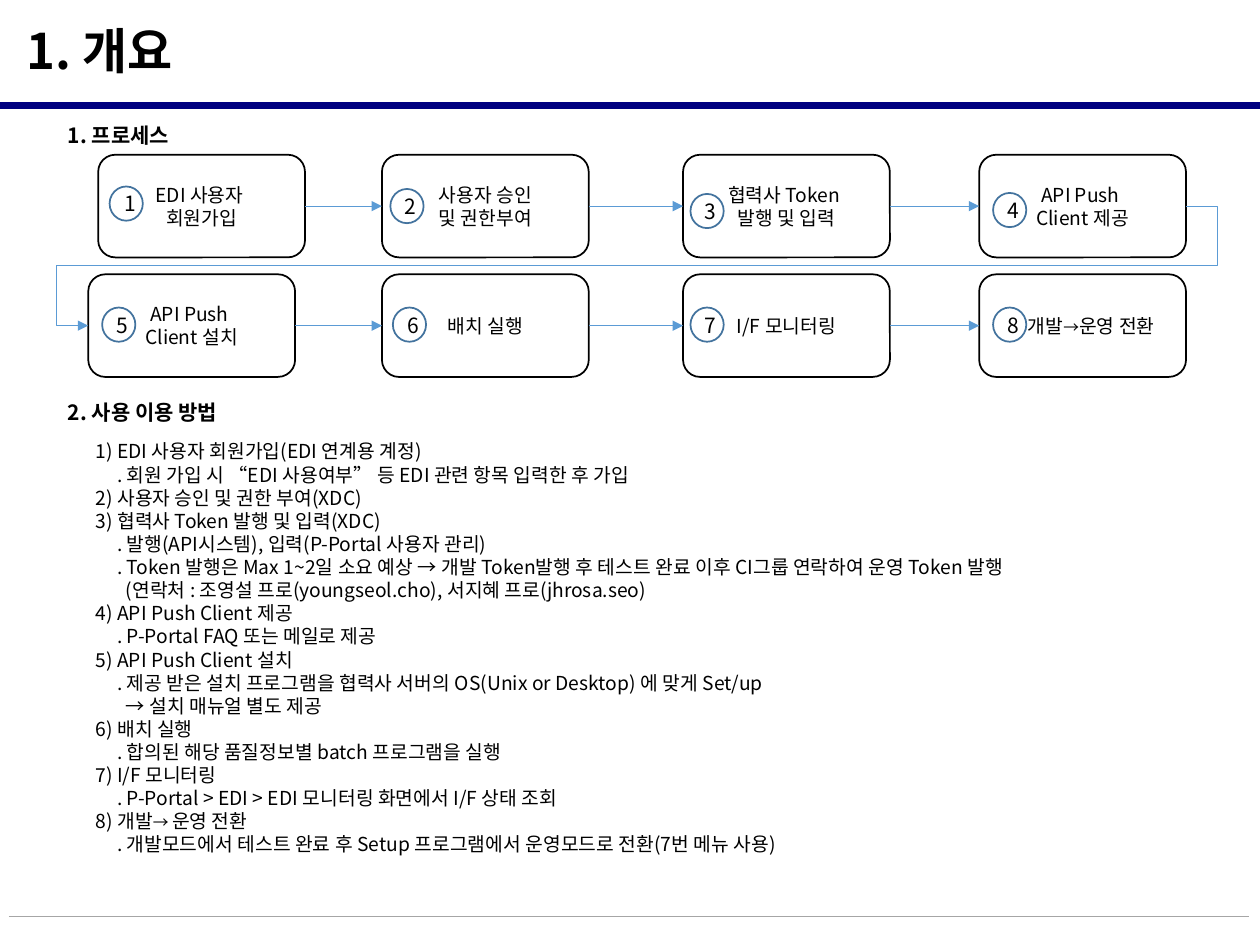
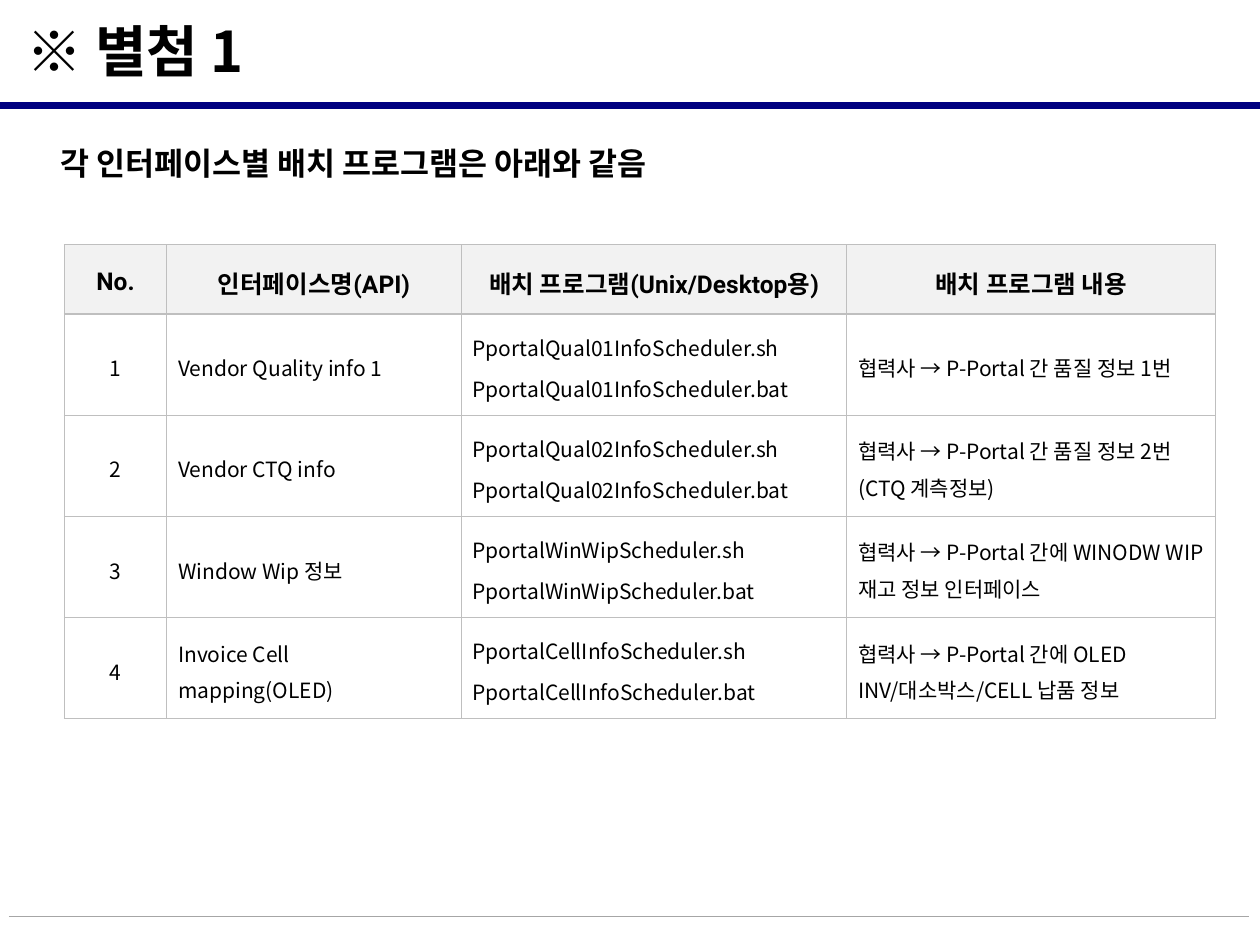
from lxml import etree
from pptx import Presentation
from pptx.dml.color import RGBColor as Rgb
from pptx.enum.shapes import MSO_CONNECTOR as Connector, MSO_SHAPE as Shape
from pptx.enum.text import MSO_ANCHOR as Anchor, MSO_AUTO_SIZE as AutoSize, PP_ALIGN as Align
from pptx.oxml.ns import qn
from pptx.util import Cm, Pt


class Theme:
    font = "Noto Sans CJK KR"
    header_font = "Roboto"
    black = Rgb.from_string("000000")
    white = Rgb.from_string("FFFFFF")
    navy = Rgb.from_string("000080")
    footer_gray = Rgb.from_string("A6A6A6")
    arrow_blue = Rgb.from_string("5B9BD5")
    badge_blue = Rgb.from_string("43739E")
    header_fill = Rgb.from_string("F2F2F2")
    border = "BFBFBF"
    lead = 18
    table_header = 14
    heading = 12
    cell = 12
    body = 11
    small_arrow = 9


def write(frame, paragraphs, size, bold=False, align=Align.LEFT, font=Theme.font,
          spacing=None, before=None):
    """Fill a text frame; a paragraph is a string or a list of (text, size) runs."""
    frame.word_wrap = True
    for index, runs in enumerate(paragraphs):
        paragraph = frame.add_paragraph() if index else frame.paragraphs[0]
        paragraph.alignment = align
        paragraph.line_spacing = spacing
        paragraph.space_before = before
        for text, run_size in [(runs, size)] if isinstance(runs, str) else runs:
            run = paragraph.add_run()
            run.text = text
            run.font.size = Pt(run_size)
            run.font.bold = bold
            run.font.color.rgb = Theme.black
            run.font.name = font
            east_asian = etree.SubElement(run.font._element, qn("a:ea"))
            east_asian.set("typeface", Theme.font)


def add_line(slide, kind, start, end, color, width, arrow=False):
    line = slide.shapes.add_connector(kind, *start, *end)
    line.line.color.rgb = color
    line.line.width = Pt(width)
    if arrow:
        etree.SubElement(line.line._get_or_add_ln(), qn("a:tailEnd")).set("type", "triangle")
    etree.SubElement(line.element.spPr, qn("a:effectLst"))
    return line


presentation = Presentation()
presentation.slide_width = Cm(25.4)
presentation.slide_height = Cm(19.05)
title_layout = presentation.slide_layouts[5]

# Titles, and the two rules that every slide takes from the layout
slides = []
for title_text, title_size in [("1. 개요", 28), ("※ 별첨 1", 32)]:
    slide = presentation.slides.add_slide(title_layout)
    slides.append(slide)
    title = slide.shapes.title
    title.left, title.top, title.width, title.height = Cm(0.38), Cm(0.1), Cm(24.71), Cm(1.83)
    frame = title.text_frame
    frame.margin_left = frame.margin_right = frame.margin_top = frame.margin_bottom = Cm(0.15)
    frame.vertical_anchor = Anchor.MIDDLE
    frame.auto_size = AutoSize.NONE
    write(frame, [title_text], title_size, bold=True)
overview, appendix = slides

for left, right, y, color, width in [
    (0.18, 25.17, 18.47, Theme.footer_gray, 0.75),
    (0, 25.4, 2.13, Theme.navy, 4),
]:
    rule = add_line(overview, Connector.STRAIGHT, (Cm(left), Cm(y)), (Cm(right), Cm(y)),
                    color, width)
    title_layout.shapes.element.append(rule.element)

# Headings of both slides
for slide, text, left, top, width, height, size, spacing in [
    (overview, "1. 프로세스", 1.12, 2.34, 7.16, 0.76, Theme.heading, None),
    (overview, "2. 사용 이용 방법", 1.12, 7.92, 9.58, 0.76, Theme.heading, None),
    (appendix, "각 인터페이스별 배치 프로그램은 아래와 같음", 0.97, 2.39, 21.41, 1.27, Theme.lead, 1.5),
]:
    heading = slide.shapes.add_textbox(Cm(left), Cm(top), Cm(width), Cm(height))
    write(heading.text_frame, [text], size, bold=True, spacing=spacing)

# Process steps: box left and top, badge left and top, label
steps = [
    (1.98, 3.12, 2.21, 3.76, ["EDI 사용자 ", "회원가입"]),
    (7.7, 3.12, 7.87, 3.81, ["사용자 승인", "및 권한부여"]),
    (13.77, 3.12, 13.92, 3.91, ["협력사 Token ", "발행 및 입력"]),
    (19.74, 3.12, 20.02, 3.89, ["API Push ", "Client 제공"]),
    (1.78, 5.53, 2.06, 6.2, ["API Push ", "Client 설치"]),
    (7.7, 5.53, 7.92, 6.2, ["배치 실행"]),
    (13.77, 5.53, 13.92, 6.2, ["I/F 모니터링"]),
    (19.74, 5.53, 20.02, 6.2,
     [[("개발", Theme.body), ("→", Theme.small_arrow), ("운영 전환", Theme.body)]]),
]
boxes = []
for number, (left, top, badge_left, badge_top, label) in enumerate(steps, start=1):
    box = overview.shapes.add_shape(Shape.ROUNDED_RECTANGLE, Cm(left), Cm(top), Cm(4.17), Cm(2.07))
    box.shadow.inherit = False
    box.fill.solid()
    box.fill.fore_color.rgb = Theme.white
    box.line.color.rgb = Theme.black
    box.line.width = Pt(1)
    frame = box.text_frame
    frame.margin_left = frame.margin_right = Cm(0.4)
    frame.margin_top = frame.margin_bottom = Cm(0.2)
    frame.vertical_anchor = Anchor.MIDDLE
    write(frame, label, Theme.body, align=Align.CENTER)
    boxes.append(box)

    badge = overview.shapes.add_shape(Shape.OVAL, Cm(badge_left), Cm(badge_top), Cm(0.67), Cm(0.69))
    badge.shadow.inherit = False
    badge.fill.background()
    badge.line.color.rgb = Theme.badge_blue
    badge.line.width = Pt(1)
    badge.text_frame.margin_left = badge.text_frame.margin_right = Cm(0.28)
    badge.text_frame.vertical_anchor = Anchor.MIDDLE
    write(badge.text_frame, [str(number)], Theme.heading, align=Align.CENTER)

# The last label makes room for its badge
boxes[-1].text_frame.paragraphs[0]._p.get_or_add_pPr().set("marL", str(Cm(0.35)))

for box, next_box in zip(boxes, boxes[1:]):
    wraps = next_box.top > box.top
    arrow = add_line(overview, Connector.ELBOW if wraps else Connector.STRAIGHT,
                     (box.left + box.width, box.top + box.height // 2),
                     (next_box.left, next_box.top + next_box.height // 2),
                     Theme.arrow_blue, 0.5, arrow=True)
    arrow.begin_connect(box, 3)
    arrow.end_connect(next_box, 1)
    if wraps:
        geometry = arrow.element.spPr.find(qn("a:prstGeom"))
        geometry.set("prst", "bentConnector5")
        guides = geometry.find(qn("a:avLst"))
        for index, value in enumerate([-2900, 50000, 102900], start=1):
            guide = etree.SubElement(guides, qn("a:gd"))
            guide.set("name", f"adj{index}")
            guide.set("fmla", f"val {value}")

# Instructions: indent level and text
instructions = [
    (0, "1) EDI 사용자 회원가입(EDI 연계용 계정)"),
    (1, ". 회원 가입 시 “EDI 사용여부” 등 EDI 관련 항목 입력한 후 가입"),
    (0, "2) 사용자 승인 및 권한 부여(XDC)"),
    (0, "3) 협력사 Token 발행 및 입력(XDC)"),
    (1, ". 발행(API시스템), 입력(P-Portal 사용자 관리)"),
    (1, ". Token 발행은 Max 1~2일 소요 예상 → 개발 Token발행 후 테스트 완료 이후 "
        "CI그룹 연락하여 운영 Token 발행"),
    (2, "(연락처 : 조영설 프로(youngseol.cho), 서지혜 프로(jhrosa.seo)"),
    (0, "4) API Push Client 제공"),
    (1, ". P-Portal FAQ 또는 메일로 제공"),
    (0, "5) API Push Client 설치"),
    (1, ". 제공 받은 설치 프로그램을 협력사 서버의 OS(Unix or Desktop) 에 맞게 Set/up"),
    (2, "→ 설치 매뉴얼 별도 제공"),
    (0, "6) 배치 실행"),
    (1, ". 합의된 해당 품질정보별 batch 프로그램을 실행"),
    (0, "7) I/F 모니터링"),
    (1, ". P-Portal > EDI > EDI 모니터링 화면에서 I/F 상태 조회"),
    (0, [("8) 개발", Theme.body), ("→ ", Theme.small_arrow), ("운영 전환", Theme.body)]),
    (1, ". 개발모드에서 테스트 완료 후 Setup 프로그램에서 운영모드로 전환(7번 메뉴 사용)"),
]
indents = [Cm(0), Cm(0.43), Cm(0.61)]
guide_box = overview.shapes.add_textbox(Cm(1.68), Cm(8.74), Cm(23.42), Cm(8.69))
write(guide_box.text_frame, [text for _, text in instructions], Theme.body)
for paragraph, (level, _) in zip(guide_box.text_frame.paragraphs, instructions):
    paragraph._p.get_or_add_pPr().set("marL", str(indents[level]))

# Batch programs: interface, script name without its ending, description
batches = [
    ("Vendor Quality info 1", "PportalQual01InfoScheduler", "협력사 → P-Portal 간 품질 정보 1번"),
    ("Vendor CTQ info", "PportalQual02InfoScheduler",
     "협력사 → P-Portal 간 품질 정보 2번(CTQ 계측정보)"),
    ("Window Wip 정보", "PportalWinWipScheduler",
     "협력사 → P-Portal 간에 WINODW WIP 재고 정보 인터페이스"),
    ("Invoice Cell mapping(OLED)", "PportalCellInfoScheduler",
     "협력사 → P-Portal 간에 OLED INV/대소박스/CELL 납품 정보"),
]
rows = [[["No."], ["인터페이스명(API)"], ["배치 프로그램(Unix/Desktop용)"], ["배치 프로그램 내용"]]]
for number, (interface, script, description) in enumerate(batches, start=1):
    rows.append([[str(number)], [interface], [script + ".sh", script + ".bat"], [description]])

column_widths = [2.06, 5.94, 7.77, 7.44]
table = appendix.shapes.add_table(len(rows), len(column_widths), Cm(1.3), Cm(4.93),
                                  Cm(sum(column_widths)), Cm(9.56)).table
for column, width in zip(table.columns, column_widths):
    column.width = Cm(width)

for row_index, row in enumerate(rows):
    is_header = row_index == 0
    table.rows[row_index].height = Cm(1.4 if is_header else 2.04)
    size = Theme.table_header if is_header else Theme.cell
    for column_index, lines in enumerate(row):
        cell = table.cell(row_index, column_index)
        cell.fill.solid()
        cell.fill.fore_color.rgb = Theme.header_fill if is_header else Theme.white
        cell.vertical_anchor = Anchor.MIDDLE
        cell.margin_left = cell.margin_right = Cm(0.23)
        cell.margin_top = cell.margin_bottom = Cm(0.13)
        write(cell.text_frame, lines, size, bold=is_header,
              align=Align.CENTER if is_header or column_index == 0 else Align.LEFT,
              font=Theme.header_font if is_header else Theme.font,
              spacing=1.2, before=Pt(size * 0.2))
        properties = cell._tc.get_or_add_tcPr()
        for position, side in enumerate(["a:lnL", "a:lnR", "a:lnT", "a:lnB"]):
            edge = etree.Element(qn(side), w=str(Pt(0.75)))
            fill = etree.SubElement(edge, qn("a:solidFill"))
            etree.SubElement(fill, qn("a:srgbClr")).set("val", Theme.border)
            properties.insert(position, edge)

presentation.save("out.pptx")
